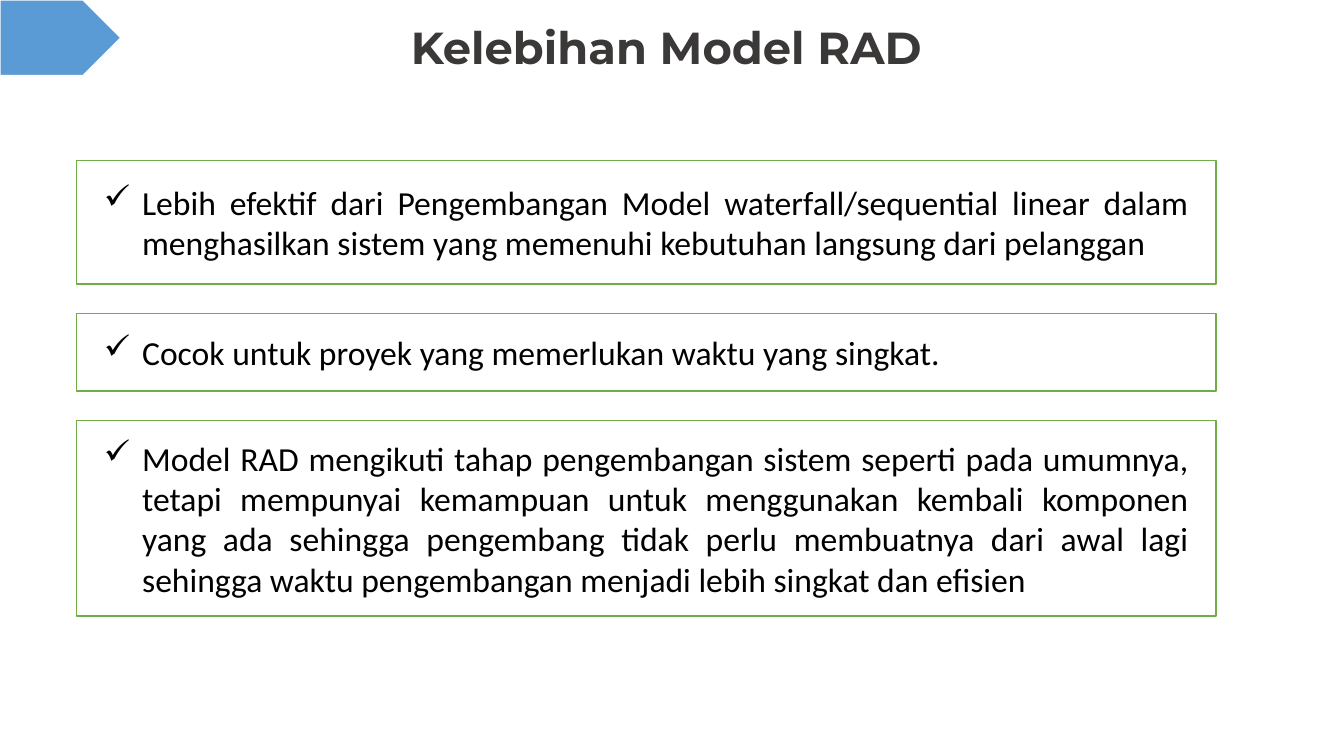
from lxml import etree
from pptx import Presentation
from pptx.dml.color import RGBColor
from pptx.enum.shapes import MSO_SHAPE
from pptx.enum.text import MSO_ANCHOR, PP_ALIGN
from pptx.oxml.ns import qn
from pptx.util import Emu, Pt

PX = 9144
TITLE_ONLY = 5
PENTAGON, RECTANGLE = MSO_SHAPE.PENTAGON, MSO_SHAPE.RECTANGLE
MIDDLE = MSO_ANCHOR.MIDDLE
CENTER, LEFT, JUSTIFY = PP_ALIGN.CENTER, PP_ALIGN.LEFT, PP_ALIGN.JUSTIFY

WHITE = RGBColor(0xFF, 0xFF, 0xFF)
BLACK = RGBColor(0x00, 0x00, 0x00)
CHARCOAL = RGBColor(0x3B, 0x38, 0x38)
BLUE = RGBColor(0x5B, 0x9B, 0xD5)
GREEN = RGBColor(0x70, 0xAD, 0x47)

CARD_GAP = 29
CARD_INSET = 27
BULLET_INDENT = 38
ADVANTAGES = [
    (123, JUSTIFY, "Lebih efektif dari Pengembangan Model waterfall/sequential linear "
     "dalam menghasilkan sistem yang memenuhi kebutuhan langsung dari pelanggan"),
    (77, LEFT, "Cocok untuk proyek yang memerlukan waktu yang singkat."),
    (194, JUSTIFY, "Model RAD mengikuti tahap pengembangan sistem seperti pada umumnya, "
     "tetapi mempunyai kemampuan untuk menggunakan kembali komponen yang ada sehingga "
     "pengembang tidak perlu membuatnya dari awal lagi sehingga waktu pengembangan "
     "menjadi lebih singkat dan efisien"),
]


def px(length):
    return Emu(length * PX)


def add_span(para, text, font, size, color, bold=False):
    span = para.add_run()
    span.text = text
    span.font.name = font
    span.font.size = Pt(size)
    span.font.color.rgb = color
    span.font.bold = bold


def add_block(page, kind, box, fill, line):
    block = page.shapes.add_shape(kind, *map(px, box))
    block.shadow.inherit = False
    block.fill.solid()
    block.fill.fore_color.rgb = fill
    block.line.color.rgb = line
    block.line.width = Pt(1)
    return block


def set_check_bullet(para):
    properties = para._p.get_or_add_pPr()
    properties.set("marL", str(px(BULLET_INDENT)))
    properties.set("indent", str(-px(BULLET_INDENT)))
    etree.SubElement(properties, qn("a:buChar")).set("char", "✓")


def add_title(page, box, text):
    title = page.shapes.title
    title.left, title.top, title.width, title.height = map(px, box)
    frame = title.text_frame
    frame.word_wrap = True
    frame.vertical_anchor = MIDDLE
    para = frame.paragraphs[0]
    para.alignment = CENTER
    para.line_spacing = 0.9
    add_span(para, text, "Montserrat", 32, CHARCOAL, bold=True)


def add_card(page, box, alignment, text):
    card = add_block(page, RECTANGLE, box, WHITE, GREEN)
    frame = card.text_frame
    frame.word_wrap = True
    frame.vertical_anchor = MIDDLE
    frame.margin_left = frame.margin_right = px(CARD_INSET)
    frame.margin_top = frame.margin_bottom = px(CARD_INSET)
    para = frame.paragraphs[0]
    para.alignment = alignment
    set_check_bullet(para)
    add_span(para, text, "Calibri", 24, BLACK)


def add_advantages(page, left, top, width):
    for height, alignment, text in ADVANTAGES:
        add_card(page, (left, top, width, height), alignment, text)
        top += height + CARD_GAP


def main():
    deck = Presentation()
    deck.slide_width, deck.slide_height = px(1333), px(750)
    page = deck.slides.add_slide(deck.slide_layouts[TITLE_ONLY])
    add_title(page, (127, 7, 1068, 85), "Kelebihan Model RAD")
    add_block(page, PENTAGON, (0, 0, 120, 75), BLUE, WHITE)
    add_advantages(page, 76, 159, 1130)
    deck.save("out.pptx")


if __name__ == "__main__":
    main()
